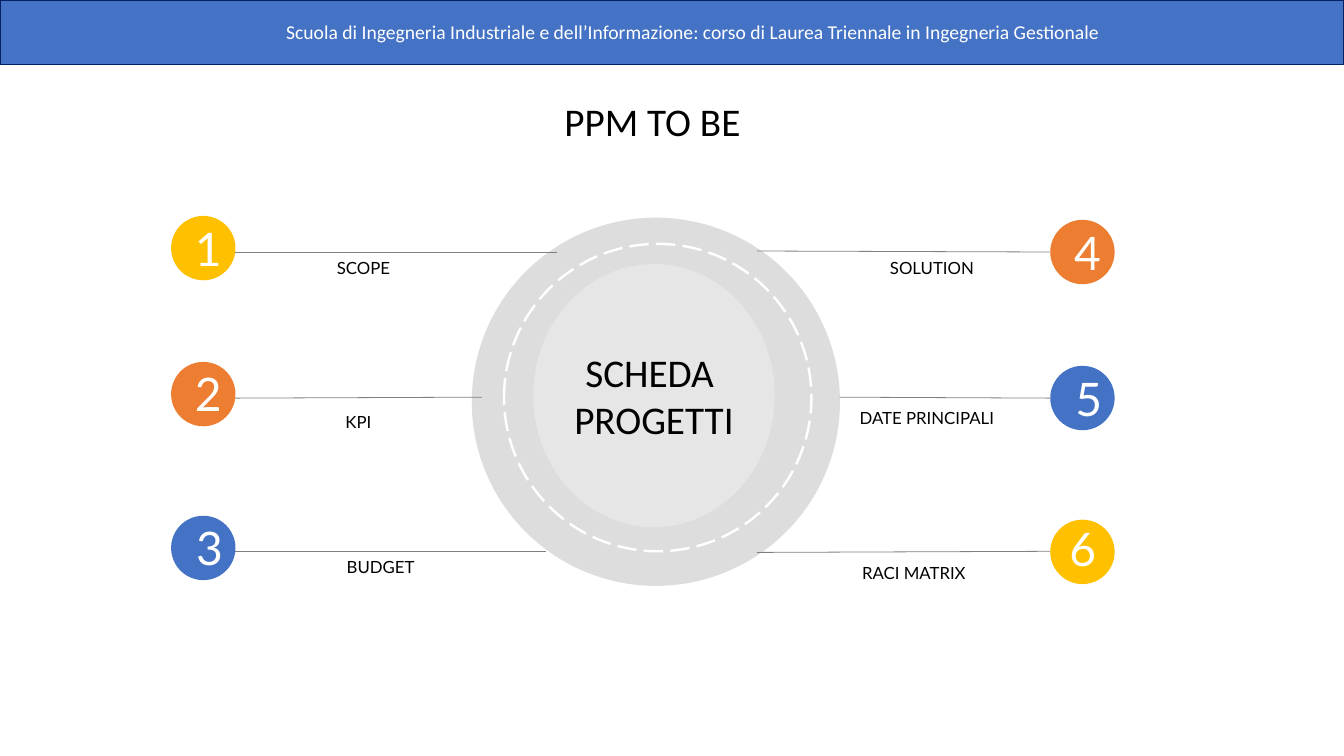
from collections import namedtuple
from dataclasses import dataclass

from lxml import etree
from pptx import Presentation
from pptx import util as u
from pptx.dml import color
from pptx.enum import dml, shapes, text
from pptx.oxml import ns

Box = namedtuple("Box", "left top width height")
Topic = namedtuple("Topic", "number name fill row right digit label hub_end")


@dataclass(frozen=True)
class Theme:
    blue: str = "4472C4"
    orange: str = "ED7D31"
    yellow: str = "FFC000"
    navy: str = "002060"
    white: str = "FFFFFF"
    black: str = "000000"
    grey: str = "808080"
    hub: str = "797979"
    core: str = "E7E6E6"
    heading_font: str = "Calibri"
    label_font: str = "Lato"
    heading_size: int = 28
    number_size: int = 33
    banner_size: int = 14
    label_size: int = 12


THEME = Theme()
LEFT, CENTER = text.PP_ALIGN.LEFT, text.PP_ALIGN.CENTER
BADGE = 46
BADGE_TOPS = (0, 104.3, 214.2)
SPOKE_TOPS = (25.8, 130.2, 239.6)
RIGHT_DROP = 2.8
TOPICS = (
    Topic("1", "SCOPE", THEME.yellow, 0, False, (10, -0.7), (66.4, 26.5), (276, 25.8)),
    Topic("2", "KPI", THEME.orange, 1, False, (10, -1.4), (62.8, 136), (222, 129.5)),
    Topic("3", "BUDGET", THEME.blue, 2, False, (10.8, -0.7), (78.7, 239.6), (268, 239.6)),
    Topic("4", "SOLUTION", THEME.orange, 0, True, (10, 0), (472.5, 26.5), (418.5, 25.1)),
    Topic("5", "DATE PRINCIPALI", THEME.blue, 1, True, (10.8, 0), (468.9, 133.8), (477.6, 129.5)),
    Topic("6", "RACI MATRIX", THEME.yellow, 2, True, (6.5, -2.9), (459.6, 244), (418.5, 240.4)),
)


def points(values):
    return [u.Pt(value) for value in values]


def rgb(value):
    return color.RGBColor.from_string(value)


def write(frame, words, font, size, ink, align, wrap=True):
    frame.text = words
    frame.word_wrap = wrap
    frame.auto_size = text.MSO_AUTO_SIZE.NONE
    for para in frame.paragraphs:
        para.alignment = align
        para.line_spacing = 1.0
        for span in para.runs:
            span.font.name = font
            span.font.size = u.Pt(size)
            span.font.color.rgb = rgb(ink)


def add_text(page, box, *style, **options):
    holder = page.shapes.add_textbox(*points(box))
    write(holder.text_frame, *style, **options)


def add_shape(page, kind, box, fill=None, line=None, weight=0.75):
    shape = page.shapes.add_shape(kind, *points(box))
    shape.shadow.inherit = False
    if fill:
        shape.fill.solid()
        shape.fill.fore_color.rgb = rgb(fill)
    else:
        shape.fill.background()
    if line:
        shape.line.color.rgb = rgb(line)
        shape.line.width = u.Pt(weight)
    else:
        shape.line.fill.background()
    return shape


def add_spoke(page, start, end):
    spoke = page.shapes.add_connector(
        shapes.MSO_CONNECTOR.STRAIGHT, *points(start + end))
    spoke.line.color.rgb = rgb(THEME.grey)
    spoke.line.width = u.Pt(0.57)
    etree.SubElement(spoke._element.spPr, ns.qn("a:effectLst"))


def draw_title(page, box):
    title = page.shapes.title
    title.left, title.top, title.width, title.height = points(box)
    write(title.text_frame, "PPM TO BE", THEME.heading_font,
          THEME.heading_size, THEME.black, LEFT, wrap=False)
    title.text_frame.vertical_anchor = text.MSO_ANCHOR.TOP


def draw_banner(page, box):
    add_shape(page, shapes.MSO_SHAPE.RECTANGLE, box, THEME.blue, THEME.navy)
    add_text(page, (box.left + 197.3, box.top + 10.8, 617, 24.5),
             "Scuola di Ingegneria Industriale e dell’Informazione: "
             "corso di Laurea Triennale in Ingegneria Gestionale",
             THEME.heading_font, THEME.banner_size, THEME.white, LEFT)


def draw_hub(page, box):
    oval = shapes.MSO_SHAPE.OVAL
    disc = add_shape(page, oval, box, THEME.hub)
    tint = disc.fill._xPr.find(".//" + ns.qn("a:srgbClr"))
    etree.SubElement(tint, ns.qn("a:alpha"), val="25000")
    ring = add_shape(page, oval, (box.left + 23, box.top + 18.7, 219.6, 219.6),
                     line=THEME.white, weight=1.73)
    ring.line.dash_style = dml.MSO_LINE.LONG_DASH
    core = add_shape(page, oval, (box.left + 43.9, box.top + 33.1, 172.5, 188),
                     THEME.core)
    write(core.text_frame, "SCHEDA \nPROGETTI", THEME.heading_font,
          THEME.heading_size, THEME.black, CENTER, wrap=False)
    core.text_frame.vertical_anchor = text.MSO_ANCHOR.MIDDLE


def draw_topic(page, box, topic):
    left = box.left + (box.width - BADGE if topic.right else 0)
    top = box.top + BADGE_TOPS[topic.row] + (RIGHT_DROP if topic.right else 0)
    add_shape(page, shapes.MSO_SHAPE.OVAL, (left, top, BADGE, BADGE), topic.fill)
    add_text(page, (left + topic.digit[0], top + topic.digit[1], 31.7, 47.5),
             topic.number, THEME.label_font, THEME.number_size, THEME.white,
             LEFT, wrap=False)
    add_text(page, (box.left + topic.label[0], box.top + topic.label[1], 142, 21.6),
             topic.name, THEME.label_font, THEME.label_size, THEME.black, CENTER)


def draw_scheme(page, box):
    for topic in TOPICS:
        badge_edge = box.width - BADGE if topic.right else BADGE
        add_spoke(page,
                  (box.left + badge_edge, box.top + SPOKE_TOPS[topic.row]),
                  (box.left + topic.hub_end[0], box.top + topic.hub_end[1]))
    draw_hub(page, Box(box.left + 214.8, box.top + 1.3, 263, 263))
    for topic in TOPICS:
        draw_topic(page, box, topic)


def main():
    deck = Presentation()
    deck.slide_width, deck.slide_height = points((960, 540))
    page = deck.slides.add_slide(deck.slide_layouts[5])
    draw_title(page, Box(396, 66.2, 142, 41))
    draw_scheme(page, Box(122.2, 154.2, 674, 264))
    draw_banner(page, Box(0, 0, 960, 46))
    deck.save("out.pptx")


if __name__ == "__main__":
    main()
